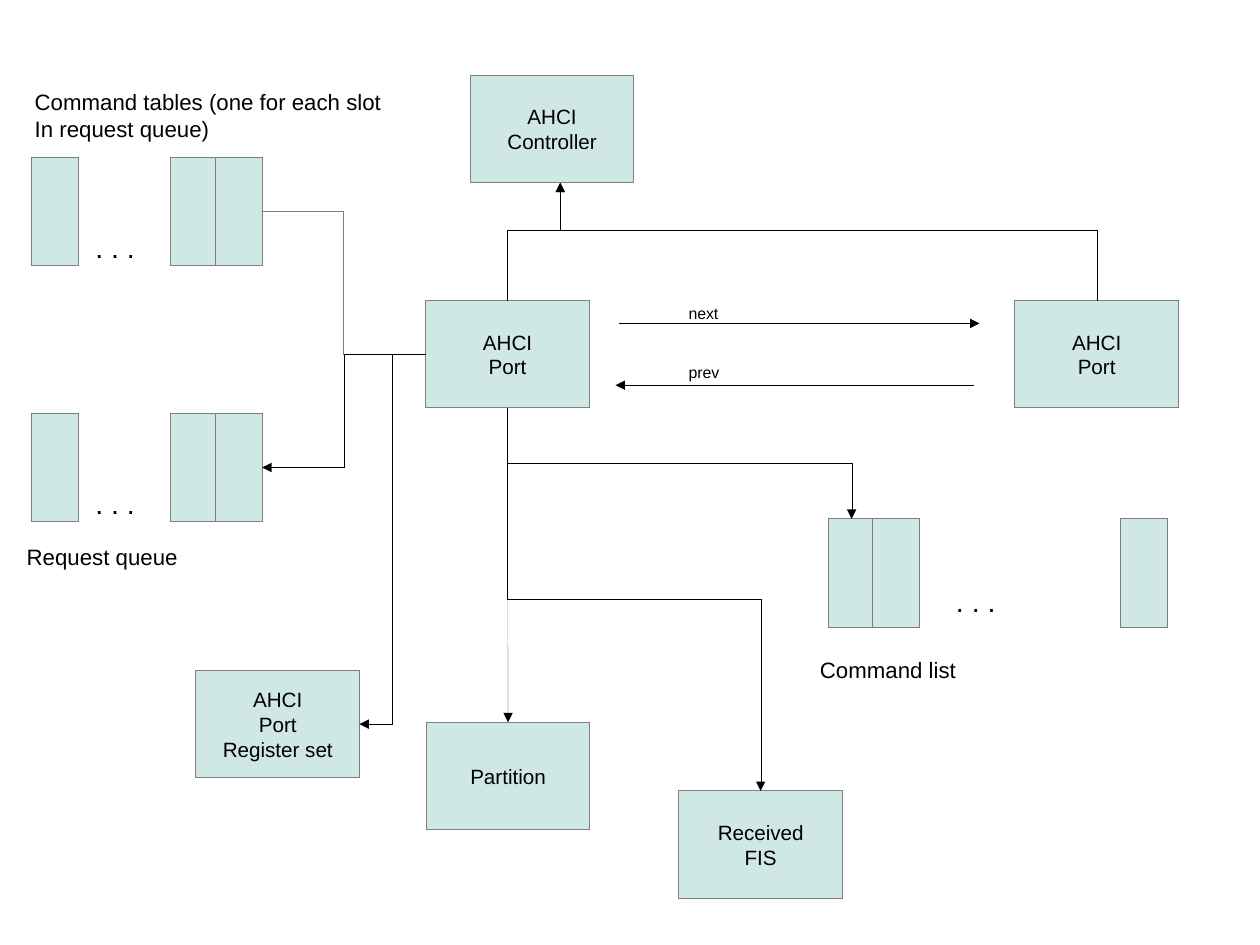
from pptx import Presentation
from pptx.dml.color import RGBColor
from pptx.enum.shapes import MSO_CONNECTOR, MSO_SHAPE
from pptx.enum.text import MSO_ANCHOR, PP_ALIGN
from pptx.util import Cm, Inches, Pt
from lxml.etree import SubElement
from pptx.oxml.ns import qn

MINT = RGBColor(0xCF, 0xE7, 0xE5)
GRAY = RGBColor(0x80, 0x80, 0x80)
BLACK = RGBColor(0, 0, 0)
CELL = Inches(0.1)
NODE = (14.3, 9.4)
SLOT = (4.1, 9.5)


def grid(*cells):
    return [round(cell * CELL) for cell in cells]


def write(frame, lines, size, align=PP_ALIGN.LEFT):
    frame.text = "\n".join(lines)
    for para in frame.paragraphs:
        para.alignment = align
        para.font.name = "Arial"
        para.font.size = Pt(size)
        para.font.color.rgb = BLACK


def stroke(shape, color):
    shape.line.color.rgb = color
    edge = shape._element.spPr.find(qn("a:ln"))
    edge.set("w", "0")
    return edge


def block(slide, left, top, size):
    shape = slide.shapes.add_shape(MSO_SHAPE.RECTANGLE, *grid(left, top, *size))
    shape.fill.solid()
    shape.fill.fore_color.rgb = MINT
    stroke(shape, GRAY)
    shape.shadow.inherit = False
    return shape


def node(slide, spot, *lines):
    frame = block(slide, *spot, NODE).text_frame
    frame.word_wrap = False
    frame.vertical_anchor = MSO_ANCHOR.MIDDLE
    write(frame, lines, 13, PP_ALIGN.CENTER)


def note(slide, box, size, *lines):
    frame = slide.shapes.add_textbox(*grid(*box)).text_frame
    frame.word_wrap = True
    write(frame, lines, size)


def bank(slide, left, top, slots, dots):
    for step in slots:
        block(slide, left + step, top, SLOT)
    note(slide, (left + dots[0], top + dots[1], 12.1, 3.8), 18, ". . .")


def side(spot, across, down, size=NODE):
    return spot[0] + across * size[0], spot[1] + down * size[1]


def link(slide, start, end, kind=MSO_CONNECTOR.STRAIGHT, color=BLACK, head=True):
    line = slide.shapes.add_connector(kind, *grid(*start, *end))
    edge = stroke(line, color)
    if head:
        SubElement(edge, qn("a:tailEnd"), type="triangle")
    props = line._element.spPr
    SubElement(props, qn("a:effectLst"))
    return props


def elbow(slide, start, end, color=BLACK, head=True):
    link(slide, start, end, MSO_CONNECTOR.ELBOW, color, head)


def drop(slide, start, end, bend=50):
    mid = [(a + b) / 2 for a, b in zip(start, end)]
    rise = (end[0] - start[0]) * (end[1] - start[1])
    turn = -1 if rise > 0 else 1
    ends = [(mid[0] + turn * (y - mid[1]), mid[1] - turn * (x - mid[0]))
            for x, y in (start, end)]
    props = link(slide, *ends, MSO_CONNECTOR.ELBOW)
    props.find(qn("a:xfrm")).set("rot", str(turn * 90 % 360 * 60000))
    guides = props.find(qn("a:prstGeom")).find(qn("a:avLst"))
    SubElement(guides, qn("a:gd"), name="adj1", fmla=f"val {round(bend * 1000)}")


def queues(slide, left, top, port):
    steps, dots = (12.2, 16.1, 0), (4.6, 5.9)
    low = top + 22.4
    for row in (top, low):
        bank(slide, left, row, steps, dots)
    note(slide, (left - 0.7, top - 6.5, 36.6, 5.4), 14,
         "Command tables (one for each slot", "In request queue)")
    note(slide, (left - 1.4, low + 10.9, 36.6, 3.2), 14, "Request queue")
    last = left + steps[1]
    gate = side(port, 0, 0.5)
    elbow(slide, gate, side((last, top), 1, 0.5, SLOT), GRAY, False)
    elbow(slide, gate, side((last, low), 1, 0.5, SLOT))


def ports(slide, boss, port, peer):
    node(slide, boss, "AHCI", "Controller")
    for spot in (port, peer):
        node(slide, spot, "AHCI", "Port")
        drop(slide, side(spot, 0.5, 0), side(boss, 0.55, 1), 59.6)
    near, far = port[0] + NODE[0], peer[0]
    link(slide, (near + 2.6, port[1] + 2), (far - 3.1, port[1] + 2))
    link(slide, (far - 3.6, port[1] + 7.4), (near + 2.3, port[1] + 7.4))
    for word, down in (("next", -0.2), ("prev", 4.9)):
        note(slide, (near + 7.7, port[1] + down, 16.9, 2.5), 10, word)


def parts(slide, port, regs, part, fis):
    node(slide, regs, "AHCI", "Port", "Register set")
    node(slide, part, "Partition")
    node(slide, fis, "Received", "FIS")
    foot = side(port, 0.5, 1)
    elbow(slide, side(port, 0, 0.5), side(regs, 1, 0.5))
    drop(slide, foot, side(fis, 0.5, 0))
    link(slide, foot, side(part, 0.5, 0))


def orders(slide, left, top, port):
    bank(slide, left, top, (0, 3.9, 25.6), (10.2, 5.2))
    note(slide, (left - 1.7, top + 11.5, 36.6, 3.2), 14, "Command list")
    drop(slide, side(port, 0.5, 1), side((left, top), 0.5, 0, SLOT))


def main():
    deck = Presentation()
    deck.slide_width = Cm(28)
    deck.slide_height = Cm(21)
    slide = deck.slides.add_slide(deck.slide_layouts[6])
    port = (37.25, 26.3)
    ports(slide, (41.15, 6.6), port, (88.8, 26.3))
    queues(slide, 2.75, 13.75, port)
    orders(slide, 72.45, 45.4, port)
    parts(slide, port, (17.15, 58.65), (37.3, 63.2), (59.4, 69.2))
    deck.save("out.pptx")


if __name__ == "__main__":
    main()
